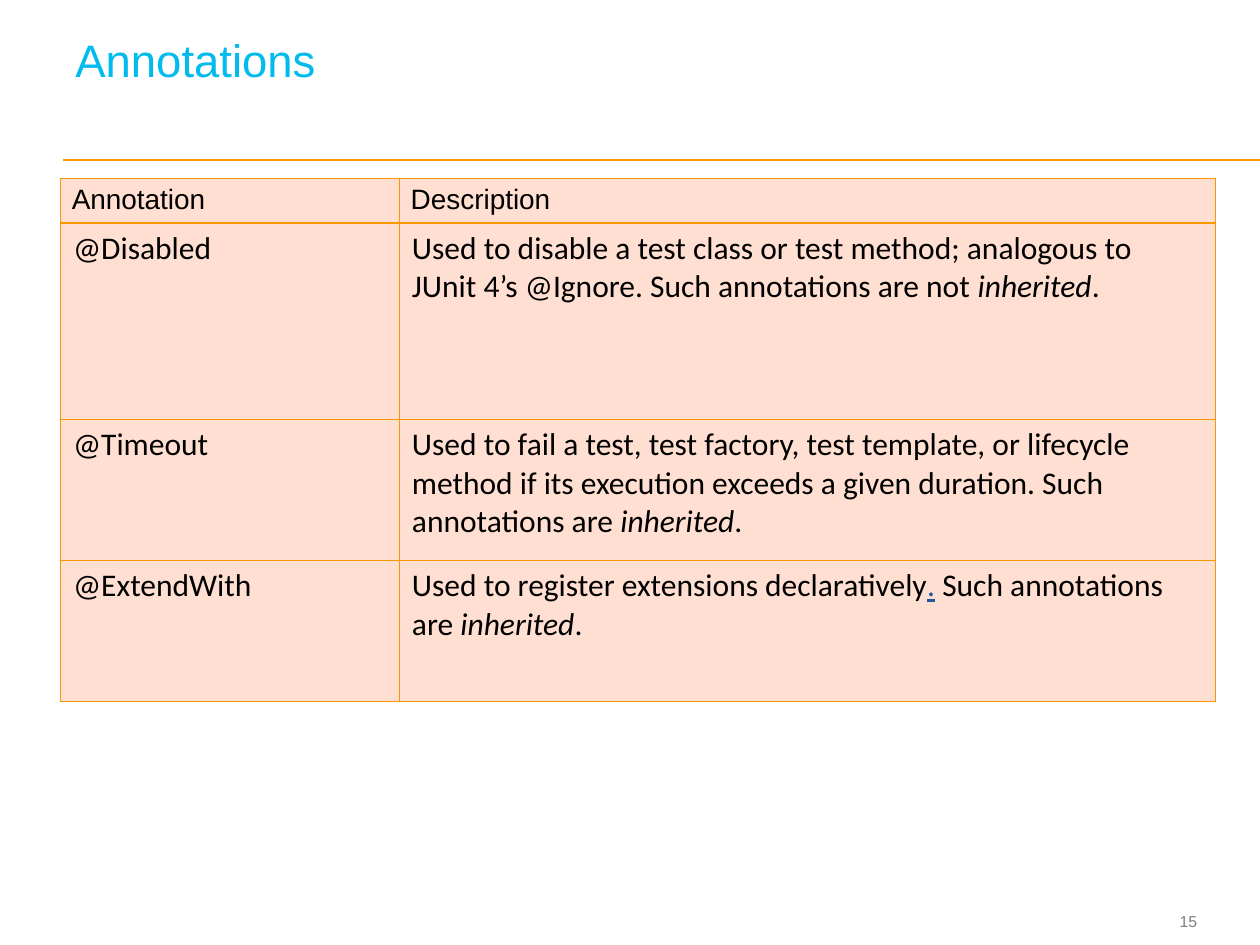
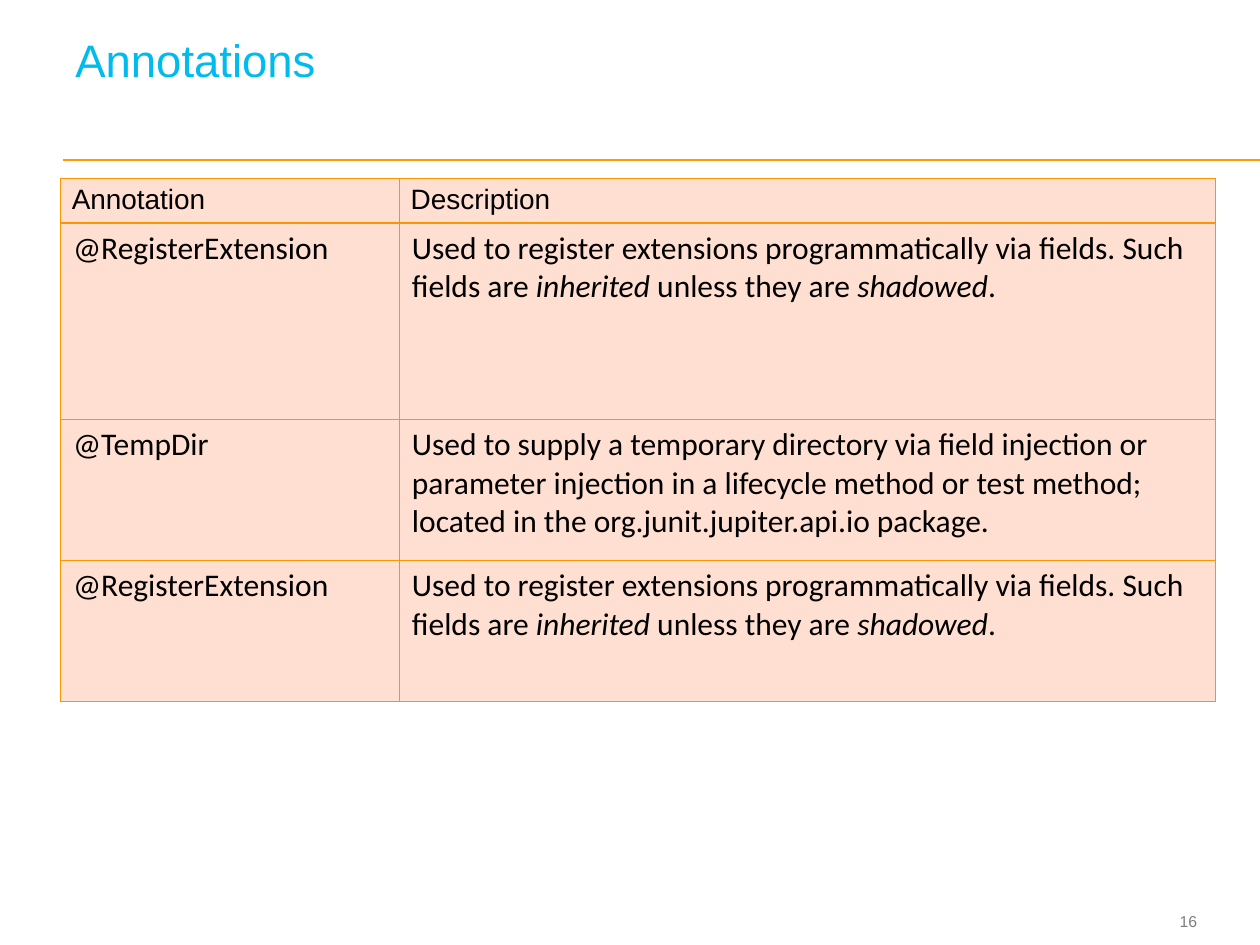
from lxml.etree import SubElement
from pptx import Presentation
from pptx.dml.color import RGBColor
from pptx.enum.shapes import MSO_CONNECTOR
from pptx.enum.text import MSO_ANCHOR, PP_ALIGN
from pptx.oxml.ns import qn
from pptx.util import Inches, Pt

TITLE_BLUE = "00BBEE"
RULE_ORANGE = "FF9900"
BORDER_ORANGE = "F99600"
CELL_PEACH = "FFDFD1"
LINK_BLUE = "2156A5"
NUMBER_GREY = "7F7F7F"
BLACK = "000000"

COLUMN_WIDTHS = (2.69, 6.48)
ROW_HEIGHTS = (0.35, 1.56, 1.12, 1.12)
HEADER = ("Annotation", ["Description"])
FIRST_NUMBER = 15

INHERITED = ("inherited", "italic")
REGISTER_EXTENSION = (
    "@RegisterExtension",
    ["Used to register extensions programmatically via fields. Such fields are ",
     INHERITED, " unless they are ", ("shadowed", "italic"), "."],
)
ANNOTATION_PAGES = (
    (
        ("@Disabled",
         ["Used to disable a test class or test method; analogous to "
          "JUnit 4’s @Ignore. Such annotations are not ", INHERITED, "."]),
        ("@Timeout",
         ["Used to fail a test, test factory, test template, or lifecycle method "
          "if its execution exceeds a given duration. Such annotations are ",
          INHERITED, "."]),
        ("@ExtendWith",
         ["Used to register extensions declaratively", (".", "link"),
          " Such annotations are ", INHERITED, "."]),
    ),
    (
        REGISTER_EXTENSION,
        ("@TempDir",
         ["Used to supply a temporary directory via field injection or parameter "
          "injection in a lifecycle method or test method; located in the "
          "org.junit.jupiter.api.io package."]),
        REGISTER_EXTENSION,
    ),
)


def color(hex_value):
    return RGBColor.from_string(hex_value)


def style_font(font, name, size, hex_value):
    font.name = name
    font.size = Pt(size)
    font.color.rgb = color(hex_value)


def add_text(slide, text, box, size, hex_value, anchor, align, left_inset=0):
    shape = slide.shapes.add_textbox(*map(Inches, box))
    text_frame = shape.text_frame
    text_frame.word_wrap = True
    text_frame.vertical_anchor = anchor
    text_frame.margin_left = Inches(left_inset)
    text_frame.margin_right = text_frame.margin_top = text_frame.margin_bottom = 0
    text_frame.text = text
    paragraph = text_frame.paragraphs[0]
    paragraph.alignment = align
    style_font(paragraph.runs[0].font, "Arial", size, hex_value)
    return paragraph


def add_rule(slide):
    rule = slide.shapes.add_connector(
        MSO_CONNECTOR.STRAIGHT, Inches(0.5), Inches(1.27), Inches(10), Inches(1.27))
    rule.line.color.rgb = color(RULE_ORANGE)
    rule.line.width = Pt(1)
    SubElement(rule._element.spPr, qn("a:effectLst"))


def add_frame(slide, title, number):
    add_rule(slide)
    add_text(slide, str(number), (8.91, 7.18, 0.59, 0.27), 9, NUMBER_GREY,
             MSO_ANCHOR.MIDDLE, PP_ALIGN.RIGHT)
    heading = add_text(slide, title, (0.5, 0.19, 8.97, 0.5), 26, TITLE_BLUE,
                       MSO_ANCHOR.BOTTOM, PP_ALIGN.LEFT, left_inset=0.1)
    heading.line_spacing = Pt(26)


def add_borders(cell):
    properties = cell._tc.get_or_add_tcPr()
    for side in ("lnL", "lnR", "lnT", "lnB"):
        line = SubElement(properties, qn(f"a:{side}"), w=str(Pt(0.75)))
        fill = SubElement(line, qn("a:solidFill"))
        SubElement(fill, qn("a:srgbClr"), val=BORDER_ORANGE)


def fill_cell(cell, pieces, name, size):
    add_borders(cell)
    cell.fill.solid()
    cell.fill.fore_color.rgb = color(CELL_PEACH)
    paragraph = cell.text_frame.paragraphs[0]
    for piece in pieces:
        text, kind = (piece, "plain") if isinstance(piece, str) else piece
        run = paragraph.add_run()
        run.text = text
        style_font(run.font, name, size, LINK_BLUE if kind == "link" else BLACK)
        run.font.bold = False
        run.font.italic = kind == "italic"
        run.font.underline = kind == "link"


def add_annotation_table(slide, annotations):
    rows = (HEADER, *annotations)
    frame = slide.shapes.add_table(
        len(rows), len(COLUMN_WIDTHS), Inches(0.48), Inches(1.42),
        Inches(sum(COLUMN_WIDTHS)), Inches(sum(ROW_HEIGHTS)))
    table = frame.table
    table.first_row = table.horz_banding = False
    for column, width in zip(table.columns, COLUMN_WIDTHS):
        column.width = Inches(width)
    for index, (annotation, description) in enumerate(rows):
        table.rows[index].height = Inches(ROW_HEIGHTS[index])
        is_header = index == 0
        name, size = ("Arial", 16) if is_header else ("Calibri", 18)
        for cell, pieces in zip(table.rows[index].cells, ([annotation], description)):
            fill_cell(cell, pieces, name, size)
            cell.margin_left = cell.margin_right = Inches(0.09 if is_header else 0.1)
            cell.margin_top = cell.margin_bottom = Inches(0.04 if is_header else 0.05)


def main():
    presentation = Presentation()
    presentation.slide_width = Inches(10)
    presentation.slide_height = Inches(7.5)
    for number, annotations in enumerate(ANNOTATION_PAGES, FIRST_NUMBER):
        slide = presentation.slides.add_slide(presentation.slide_layouts[6])
        add_frame(slide, "Annotations", number)
        add_annotation_table(slide, annotations)
    presentation.save("out.pptx")


if __name__ == "__main__":
    main()
